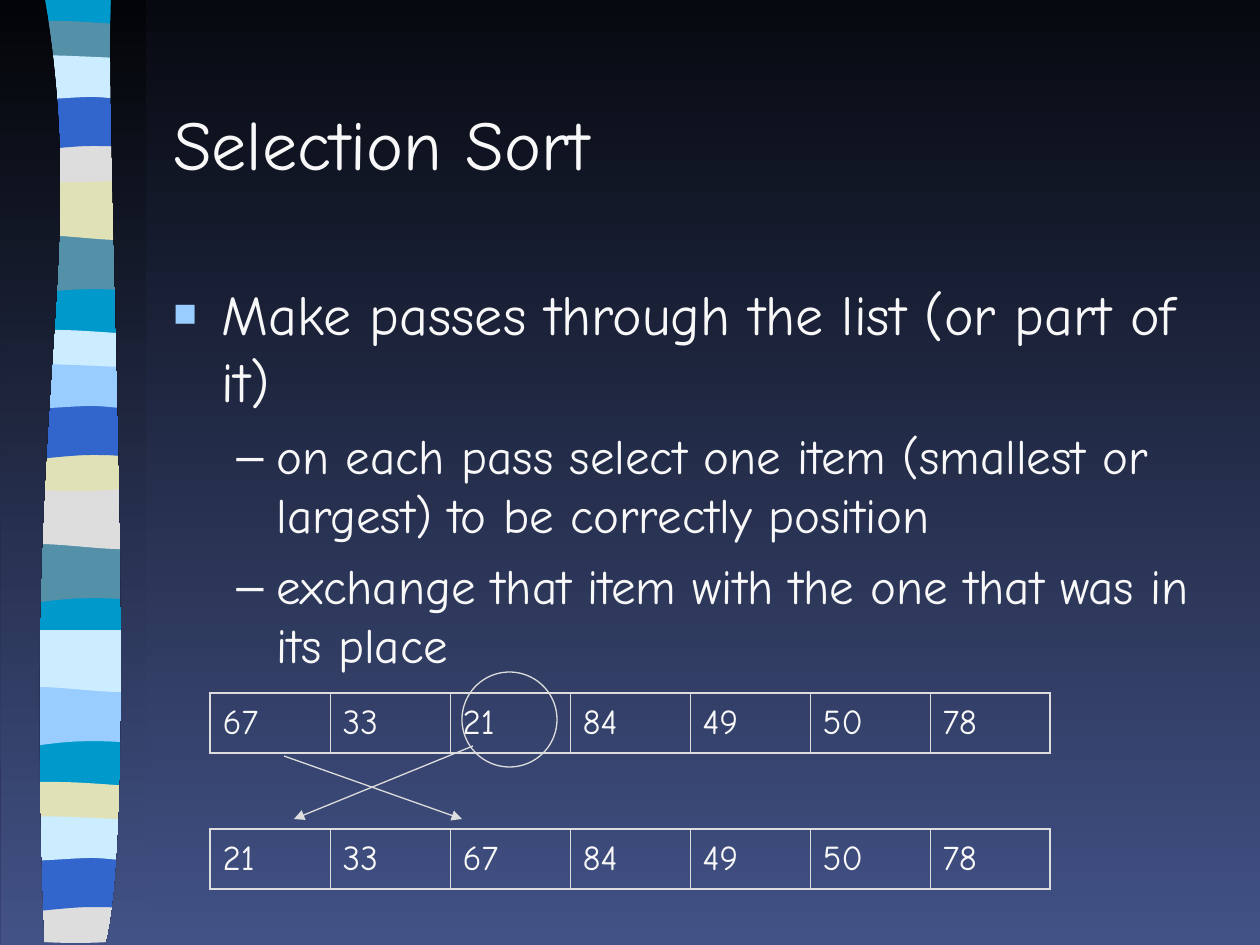
from typing import NamedTuple, Optional

from lxml.etree import SubElement
from pptx import Presentation
from pptx.dml.color import RGBColor
from pptx.enum.shapes import MSO_CONNECTOR as Connector, MSO_SHAPE as Preset
from pptx.enum.text import MSO_ANCHOR as Anchor
from pptx.oxml.ns import qn
from pptx.util import Pt

SCALE = 914400 / 126  # EMU per px
FONT, BULLET_FONT = "Comic Neue", "Arial"
TEXT, LINE = "F8F8F8", "DDDDDD"
NAVY, TEAL, SKY = "425286", "5490A8", "0099CC"
ICE, PALE_BLUE, BLUE = "CCECFF", "99CCFF", "3366CC"
SAND, GREY = "E1E1B7", "DDDDDD"


class Outline(NamedTuple):
    start: tuple
    segments: list  # one point is a line, three points are a cubic curve


class Band(NamedTuple):
    outline: Outline
    shift: int
    colour: str


class Bullet(NamedTuple):
    text: str
    size: int
    char: str
    colour: str
    percent: int
    margin: int
    hanging: int
    before: int


class Arrow(NamedTuple):
    start: tuple
    end: tuple


class NumberRow(NamedTuple):
    top: int
    values: list


# Ribbon bands: six outlines, repeated further down with other colours
WAVE = Outline((144, 233), [[(144, 292)], [(49, 282), (30, 302), (8, 292)], [(8, 233)]])
BULGE = Outline((144, 178), [[(144, 237)], [(121, 247), (49, 229), (8, 237)], [(8, 178)]])
LID = Outline((144, 26), [[(144, 57)], [(121, 62), (30, 62), (8, 57)], [(8, 26)],
                          [(15, 20), (37, 21), (59, 21)], [(82, 21), (126, 25), (144, 26)]])
BASE = Outline((144, 136), [[(144, 176)], [(121, 184), (30, 184), (8, 176)], [(8, 136)],
                            [(91, 142), (115, 136), (144, 136)]])
ARCH = Outline((144, 93), [[(144, 152)], [(122, 146), (113, 146), (91, 146)],
                           [(68, 146), (28, 152), (8, 152)], [(8, 93)]])
SHEET = Outline((144, 58), [[(144, 97)], [(135, 103), (113, 97), (91, 97)],
                            [(68, 97), (21, 103), (8, 97)], [(8, 58)],
                            [(26, 52), (100, 58), (122, 58)], [(145, 58), (139, 58), (144, 58)]])
STACK = [WAVE, BULGE, LID, BASE, ARCH, SHEET]
REPEATS = [
    ([0] * 6, [TEAL, SAND, TEAL, GREY, BLUE, ICE]),
    ([309] * 6, [TEAL, GREY, ICE, SAND, BLUE, PALE_BLUE]),
    ([452] * 2 + [761] * 4, [PALE_BLUE, ICE, SAND, GREY, BLUE, ICE]),
]
BANDS = [Band(*parts) for shifts, colours in REPEATS for parts in zip(STACK, shifts, colours)]
RIBBON = Outline((144, -1), [[(144, 941)], [(8, 941)], [(8, -1)]])
SIDES = [
    Outline((45, -1), [[(89, 272), (21, 373), (44, 944)], [(1, 944)], [(0, -1)]]),
    Outline((111, -1), [[(106, 158), (140, 814), (106, 944)], [(146, 944)], [(146, 0)]]),
]

BULLETS = [
    Bullet("Make passes through the list (or part of it)", 32, "■", PALE_BLUE, 70, 48, 48, 8),
    *(Bullet(text, 28, "–", TEXT, 100, 103, 40, 7) for text in (
        "on each pass select one item (smallest or largest) to be correctly position",
        "exchange that item with the one that was in its place")),
]
NUMBER_ROWS = [
    NumberRow(693, [67, 33, 21, 84, 49, 50, 78]),
    NumberRow(829, [21, 33, 67, 84, 49, 50, 78]),
]
SWAP_ARROWS = [Arrow((473, 746), (294, 819)), Arrow((284, 756), (462, 819))]


def px(length: int) -> int:
    return round(length * SCALE)


def rgb(colour: str) -> RGBColor:
    return RGBColor.from_string(colour)


def fade_down(fill, top: str, bottom: str) -> None:
    fill.gradient()
    fill.gradient_angle = 270
    for stop, colour, position in zip(fill.gradient_stops, (top, bottom), (0, 1)):
        stop.color.rgb = rgb(colour)
        stop.position = position


def bend(area, segments: list) -> None:
    """Join the three corners of each curved segment into one cubic curve."""
    corners = iter(list(area._element.iter(qn("a:lnTo"))))
    for segment in segments:
        steps = [next(corners) for _ in segment]
        if len(steps) == 3:
            curve = steps[0].makeelement(qn("a:cubicBezTo"))
            steps[0].addprevious(curve)
            for step in steps:
                curve.append(step[0])
                step.getparent().remove(step)


def draw_outline(slide, outline: Outline, shift: int = 0, colour: Optional[str] = None) -> None:
    x, y = outline.start
    builder = slide.shapes.build_freeform(x, y + shift, scale=SCALE)
    builder.add_line_segments([(x, y + shift) for part in outline.segments for x, y in part])
    area = builder.convert_to_shape()
    bend(area, outline.segments)
    area.shadow.inherit = False
    area.line.fill.background()
    if colour:
        area.fill.solid()
        area.fill.fore_color.rgb = rgb(colour)
    else:
        fade_down(area.fill, "030407", NAVY)


def add_run(paragraph, text: str, size: int) -> None:
    run = paragraph.add_run()
    run.text = text
    run.font.name = FONT
    run.font.size = Pt(size)
    run.font.color.rgb = rgb(TEXT)


def add_frame(slide, left: int, top: int, width: int, height: int, anchor):
    frame = slide.shapes.add_textbox(px(left), px(top), px(width), px(height)).text_frame
    frame.word_wrap = True
    frame.vertical_anchor = anchor
    return frame


def write_bullet(paragraph, bullet: Bullet) -> None:
    paragraph.space_before = Pt(bullet.before)
    add_run(paragraph, bullet.text, bullet.size)
    props = paragraph._p.get_or_add_pPr()
    props.set("marL", str(px(bullet.margin)))
    props.set("indent", str(-px(bullet.hanging)))
    SubElement(SubElement(props, qn("a:buClr")), qn("a:srgbClr"), val=bullet.colour)
    SubElement(props, qn("a:buSzPct"), val=str(bullet.percent * 1000))
    SubElement(props, qn("a:buFont"), typeface=BULLET_FONT)
    SubElement(props, qn("a:buChar"), char=bullet.char)


def draw_numbers(slide, row: NumberRow) -> None:
    count = len(row.values)
    table = slide.shapes.add_table(1, count, px(210), px(row.top), px(120 * count), px(60)).table
    table.first_row = table.horz_banding = False
    for index, value in enumerate(row.values):
        cell = table.cell(0, index)
        cell.vertical_anchor = Anchor.MIDDLE
        paragraph = cell.text_frame.paragraphs[0]
        paragraph.space_before = Pt(5)
        add_run(paragraph, str(value), 20)
        # Thick outer border, thin dividers
        outer = {"lnL": index == 0, "lnR": index == count - 1, "lnT": True, "lnB": True}
        for side, thick in outer.items():
            border = SubElement(cell._tc.get_or_add_tcPr(), qn(f"a:{side}"),
                                w=str(Pt(1.08 if thick else 0.45)))
            SubElement(SubElement(border, qn("a:solidFill")), qn("a:srgbClr"), val=LINE)
        cell.fill.background()


def draw_arrow(slide, arrow: Arrow) -> None:
    ends = [px(value) for value in (*arrow.start, *arrow.end)]
    connector = slide.shapes.add_connector(Connector.STRAIGHT, *ends)
    connector.line.color.rgb = rgb(LINE)
    connector.line.width = Pt(0.75)
    SubElement(connector.line._get_or_add_ln(), qn("a:tailEnd"), type="triangle")
    SubElement(connector._element.spPr, qn("a:effectLst"))


def main() -> None:
    deck = Presentation()
    deck.slide_width, deck.slide_height = px(1260), px(945)
    slide = deck.slides.add_slide(deck.slide_layouts[6])
    fade_down(slide.background.fill, "070910", NAVY)

    # Striped ribbon, trimmed by the two sides
    draw_outline(slide, RIBBON, colour=SKY)
    for band in BANDS:
        draw_outline(slide, *band)
    for side in SIDES:
        draw_outline(slide, side)

    # Title and bullets
    title = add_frame(slide, 161, 63, 1071, 158, Anchor.MIDDLE)
    add_run(title.paragraphs[0], "Selection Sort", 40)
    body = add_frame(slide, 161, 273, 1071, 672, Anchor.TOP)
    for index, bullet in enumerate(BULLETS):
        write_bullet(body.add_paragraph() if index else body.paragraphs[0], bullet)

    # List before and after the swap
    for row in NUMBER_ROWS:
        draw_numbers(slide, row)

    # Selected item and its exchange
    selection = slide.shapes.add_shape(Preset.OVAL, px(462), px(672), px(95), px(95))
    selection.shadow.inherit = False
    selection.fill.background()
    selection.line.color.rgb = rgb(LINE)
    selection.line.width = Pt(0.75)
    for arrow in SWAP_ARROWS:
        draw_arrow(slide, arrow)

    deck.save("out.pptx")


if __name__ == "__main__":
    main()
